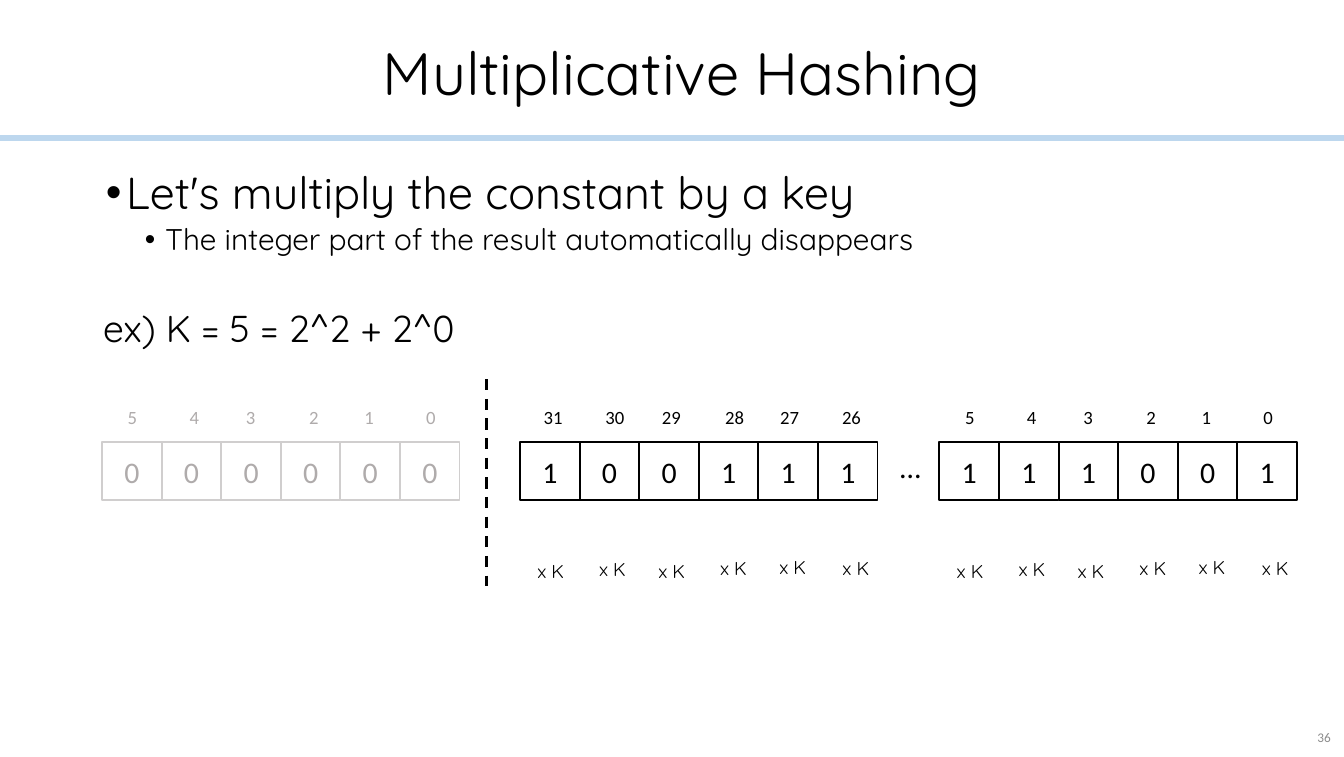
from dataclasses import dataclass
from lxml.etree import SubElement
from pptx import Presentation
from pptx.dml.color import RGBColor
from pptx.enum.dml import MSO_LINE
from pptx.enum.shapes import MSO_CONNECTOR as LINK, MSO_SHAPE as SHAPE
from pptx.enum.text import MSO_ANCHOR as ANCHOR, PP_ALIGN as ALIGN
from pptx.oxml.ns import qn
from pptx.util import Inches, Pt

BLACK = RGBColor(0x00, 0x00, 0x00)
BLUE = RGBColor(0xBD, 0xD7, 0xEE)
GRAY = RGBColor(0x8C, 0x8C, 0x8C)
PALE = RGBColor(0xD0, 0xCE, 0xCE)
FADED = RGBColor(0xAF, 0xAB, 0xAB)
HEAD = "Quicksand"
PLAIN = "Calibri"


@dataclass
class Style:
    size: float
    font: str = HEAD
    color: RGBColor = BLACK
    align: ALIGN = ALIGN.LEFT
    space: float = 1.0


@dataclass
class Group:
    left: float
    bits: str
    high: int
    shift: float = 0
    edge: RGBColor = BLACK
    ink: RGBColor = BLACK
    keys: bool = True


@dataclass
class Key:
    left: float
    top: float
    width: float


GROUPS = [
    Group(0.76, "000000", 5, edge=PALE, ink=FADED, keys=False),
    Group(3.87, "100111", 31, shift=0.02),
    Group(6.99, "111001", 5),
]
MARKS = [0.05, 0.51, 0.93, 1.4, 1.81, 2.27]
KEYS = [
    Key(0.03, 4.13, 2.05),
    Key(0.49, 4.12, 2.05),
    Key(0.93, 4.13, 2.05),
    Key(1.39, 4.11, 2.05),
    Key(1.83, 4.1, 0.8),
    Key(2.3, 4.11, 0.78),
]
STEP = 2.66 / 6


def set_style(para, style: Style) -> None:
    para.alignment = style.align
    para.line_spacing = style.space
    font = para.font
    font.size = Pt(style.size)
    font.name = style.font
    font.color.rgb = style.color


def add_text(slide, text: str, left: float, top: float, width: float,
             height: float, style: Style, anchor=ANCHOR.TOP):
    box = slide.shapes.add_textbox(
        Inches(left), Inches(top), Inches(width), Inches(height))
    frame = box.text_frame
    frame.word_wrap = True
    frame.vertical_anchor = anchor
    frame.text = text
    set_style(frame.paragraphs[0], style)
    return frame


def add_rect(slide, left: float, top: float, width: float, height: float,
             edge: RGBColor):
    rect = slide.shapes.add_shape(
        SHAPE.RECTANGLE, Inches(left), Inches(top),
        Inches(width), Inches(height))
    rect.shadow.inherit = False
    rect.fill.background()
    rect.line.color.rgb = edge
    rect.line.width = Pt(1)
    return rect


def add_bullet(para, indent: float) -> None:
    props = para._p.get_or_add_pPr()
    props.set("marL", str(Inches(indent)))
    props.set("indent", str(Inches(-0.15)))
    SubElement(props, qn("a:buFont"), typeface="Arial")
    SubElement(props, qn("a:buChar"), char="•")


def add_body(slide) -> None:
    box = slide.shapes.add_textbox(
        Inches(0.69), Inches(1.22), Inches(8.97), Inches(3.95))
    frame = box.text_frame
    frame.word_wrap = True
    main = frame.paragraphs[0]
    main.text = "Let's multiply the constant by a key"
    add_bullet(main, 0.15)
    set_style(main, Style(24, space=0.9))
    sub = frame.add_paragraph()
    sub.text = "The integer part of the result automatically disappears"
    sub.level = 1
    add_bullet(sub, 0.44)
    set_style(sub, Style(16, space=0.9))
    sub.space_before = Pt(3)


def add_group(slide, group: Group) -> None:
    cell = Style(16, PLAIN, group.ink, ALIGN.CENTER)
    mark = Style(10, PLAIN, group.ink, ALIGN.CENTER)
    for i, bit in enumerate(group.bits):
        rect = add_rect(
            slide, group.left + i * STEP, 3.29, STEP, 0.43, group.edge)
        frame = rect.text_frame
        frame.vertical_anchor = ANCHOR.MIDDLE
        frame.text = bit
        set_style(frame.paragraphs[0], cell)
    for i, left in enumerate(MARKS):
        add_text(slide, str(group.high - i),
                 group.left + left + group.shift, 2.97, 0.35, 0.27, mark)
    if group.keys:
        for key in KEYS:
            add_text(slide, "x K", group.left + key.left, key.top,
                     key.width, 0.41, Style(10, space=0.9))


def add_split(slide) -> None:
    line = slide.shapes.add_connector(
        LINK.STRAIGHT, Inches(3.62), Inches(2.82), Inches(3.62), Inches(4.36))
    line.line.color.rgb = BLACK
    line.line.width = Pt(1.5)
    line.line.dash_style = MSO_LINE.DASH
    SubElement(line._element.spPr, qn("a:effectLst"))


def main() -> None:
    deck = Presentation()
    deck.slide_width = Inches(10)
    deck.slide_height = Inches(5.63)
    slide = deck.slides.add_slide(deck.slide_layouts[6])

    bar = add_rect(slide, 0, 1.01, 10, 0.03, BLUE)
    bar.fill.solid()
    bar.fill.fore_color.rgb = BLUE
    add_text(slide, "Multiplicative Hashing", 0.15, 0.28, 9.85, 0.6,
             Style(32, align=ALIGN.CENTER, space=0.9))
    add_text(slide, "36", 9.66, 5.33, 0.34, 0.3,
             Style(7.1, PLAIN, GRAY, ALIGN.RIGHT), ANCHOR.MIDDLE)
    add_body(slide)
    add_text(slide, "ex) K = 5 = 2^2 + 2^0", 0.67, 2.26, 4.06, 0.6,
             Style(20, space=0.9))
    for group in GROUPS:
        add_group(slide, group)
    add_text(slide, "…", 6.6, 3.29, 0.44, 0.37, Style(16, PLAIN))
    add_split(slide)
    deck.save("out.pptx")


if __name__ == "__main__":
    main()
